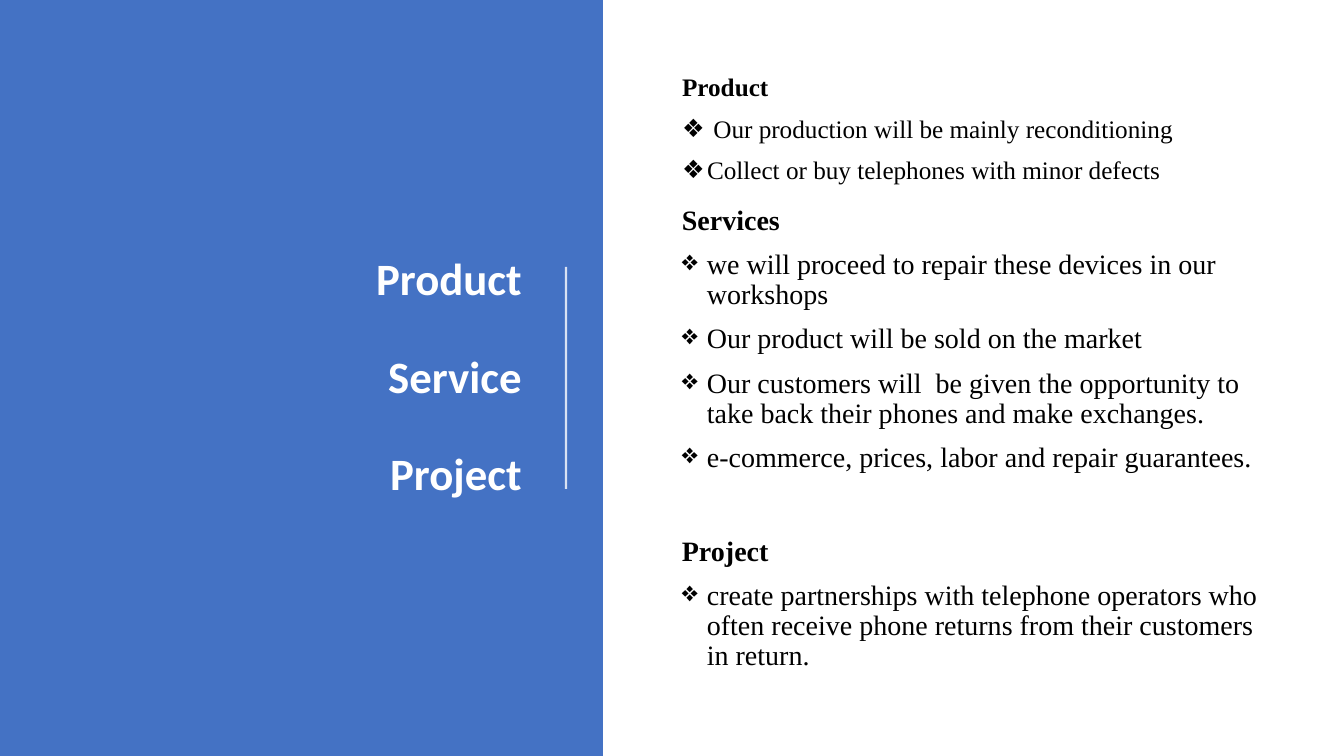
from lxml import etree
from pptx import Presentation
from pptx.dml.color import RGBColor
from pptx.enum.shapes import MSO_CONNECTOR, MSO_SHAPE
from pptx.enum.text import MSO_ANCHOR, MSO_AUTO_SIZE, PP_ALIGN
from pptx.oxml.ns import qn
from pptx.util import Emu, Pt

RECTANGLE = MSO_SHAPE.RECTANGLE
STRAIGHT = MSO_CONNECTOR.STRAIGHT
MIDDLE, TOP = MSO_ANCHOR.MIDDLE, MSO_ANCHOR.TOP
NO_FIT = MSO_AUTO_SIZE.NONE
LEFT, RIGHT = PP_ALIGN.LEFT, PP_ALIGN.RIGHT

WIDTH, HEIGHT = 1344, 756
COLUMN_LEFT, COLUMN_WIDTH = 672, 601
TITLE_TOPICS = ["Product", "Service", "Project"]
PRODUCT = [
    " Our production will be mainly reconditioning",
    "Collect or buy telephones with minor defects",
]
SERVICES = [
    "we will proceed to repair these devices in our workshops",
    "Our product will be sold on the market",
    "Our customers will  be given the opportunity to take back their phones and make exchanges.",
    "e-commerce, prices, labor and repair guarantees.",
]
PROJECT = [
    "create partnerships with telephone operators who often receive "
    "phone returns from their customers in return.",
]


def px(value):
    return Emu(round(value * 12192000 / WIDTH))


def rgb(value):
    return RGBColor.from_string(value)


class TopicSlide:
    blue, white, black = "4472C4", "FFFFFF", "000000"
    title_font, body_font = "Calibri", "Times New Roman"
    bullet, hang = "❖", 25

    def __init__(self, presentation):
        self.slide = presentation.slides.add_slide(presentation.slide_layouts[1])
        self.shapes = self.slide.shapes

    def panel(self, left, top, width, height):
        panel = self.shapes.add_shape(RECTANGLE, px(left), px(top), px(width), px(height))
        panel.shadow.inherit = False
        panel.fill.solid()
        panel.fill.fore_color.rgb = rgb(self.blue)
        panel.line.fill.background()

    def divider(self, x, top, bottom):
        divider = self.shapes.add_connector(STRAIGHT, px(x), px(top), px(x), px(bottom))
        divider.line.width = Pt(1.5)
        divider.line.color.rgb = rgb(self.white)
        properties = divider.element.spPr
        color = next(properties.iter(qn("a:srgbClr")))
        etree.SubElement(color, qn("a:alpha")).set("val", "80000")
        etree.SubElement(properties, qn("a:effectLst"))

    def place(self, holder, left, top, width, height, anchor):
        holder.left, holder.top = px(left), px(top)
        holder.width, holder.height = px(width), px(height)
        holder.element.getparent().append(holder.element)
        frame = holder.text_frame
        frame.word_wrap = True
        frame.auto_size = NO_FIT
        frame.vertical_anchor = anchor
        return frame

    def set_lines(self, frame, lines, font, size, color, align, gap):
        frame.text = "\n".join(lines)
        for paragraph in frame.paragraphs:
            paragraph.alignment = align
            paragraph.line_spacing = 0.9
            paragraph.space_before = Pt(gap)
            paragraph.font.name = font
            paragraph.font.size = Pt(size)
            paragraph.font.bold = True
            paragraph.font.color.rgb = rgb(color)

    def title(self, topics, left, top, width, height):
        frame = self.place(self.shapes.title, left, top, width, height, MIDDLE)
        self.set_lines(frame, topics, self.title_font, 32, self.white, RIGHT, 35)
        frame.paragraphs[0].space_before = Pt(0)

    def section(self, heading, points, top, height, size, holder=None):
        holder = holder or self.shapes.add_textbox(0, 0, 0, 0)
        frame = self.place(holder, COLUMN_LEFT, top, COLUMN_WIDTH, height, TOP)
        self.set_lines(frame, [heading, *points], self.body_font, size, self.black, LEFT, 10)
        for index, paragraph in enumerate(frame.paragraphs):
            listed = index > 0
            paragraph.font.bold = not listed
            self.set_bullet(paragraph, listed)

    def set_bullet(self, paragraph, listed):
        properties = paragraph._p.get_or_add_pPr()
        indent = px(self.hang) if listed else 0
        properties.set("marL", str(indent))
        properties.set("indent", str(-indent))
        mark = etree.Element(qn("a:buChar" if listed else "a:buNone"))
        if listed:
            mark.set("char", self.bullet)
        properties.find(qn("a:defRPr")).addprevious(mark)


def main():
    presentation = Presentation()
    presentation.slide_width, presentation.slide_height = px(WIDTH), px(HEIGHT)
    topic = TopicSlide(presentation)
    topic.panel(0, 0, 603, HEIGHT)
    topic.divider(566, 267, 489)
    topic.section("Services", SERVICES, 201, 324, 20)
    topic.section("Project", PROJECT, 532, 151, 20)
    topic.title(TITLE_TOPICS, 72, 71, 460, 615)
    topic.section("Product", PRODUCT, 70, 123, 18, topic.slide.placeholders[1])
    presentation.save("out.pptx")


if __name__ == "__main__":
    main()
